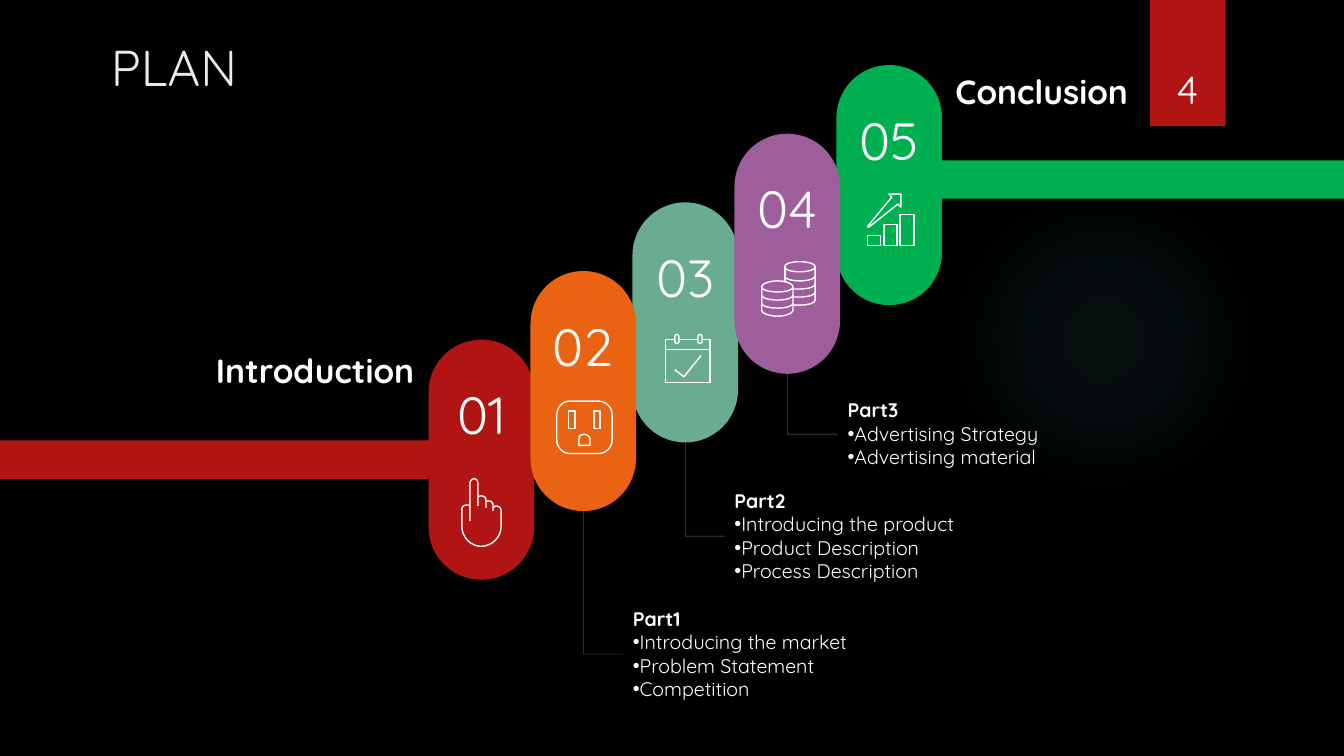
from lxml.etree import SubElement
from pptx import Presentation
from pptx.dml.color import RGBColor
from pptx.enum.shapes import MSO_CONNECTOR, MSO_SHAPE
from pptx.enum.text import MSO_ANCHOR, PP_ALIGN
from pptx.oxml import parse_xml
from pptx.oxml.ns import nsdecls, qn
from pptx.util import Cm, Pt

FONT = "Quicksand"
WHITE, RED, GREEN, ICON_LINE = "FFFFFF", "B01513", "00B050", "FEFEFE"
SLIDE_WIDTH, SLIDE_HEIGHT = 33.87, 19.05
PILL_WIDTH, PILL_HEIGHT = 2.66, 6.05
PILL_COLORS = [RED, "EA6312", "6AAC90", "9E5E9B", GREEN]
ICON_UNIT = Cm(0.0254)

PARTS = [
    (1, "Part1", (15.7, 15.16, 6.65, 2.64),
     ["Introducing the market", "Problem Statement", "Competition"]),
    (2, "Part2", (18.26, 12.19, 7.82, 2.64),
     ["Introducing the product", "Product Description", "Process Description"]),
    (3, "Part3", (21.11, 9.91, 11.1, 2.06),
     ["Advertising Strategy", "Advertising material"]),
]


def rectangle_path(left, top, right, bottom):
    return f"M {left} {bottom} L {right} {bottom} L {right} {top} L {left} {top} Z"


def ring_path(x):
    return (f"M {x} 133 C {x} 132 {x + 1} 131 {x + 2} 131 C {x + 3} 131 {x + 4} 132 {x + 4} 133 "
            f"L {x + 4} 138 C {x + 4} 139 {x + 3} 140 {x + 2} 140 C {x + 1} 140 {x} 139 {x} 138 Z")


def front_rim(y):
    return f"M 58 {y} C 58 {y + 3} 51 {y + 5} 43 {y + 5} C 34 {y + 5} 27 {y + 3} 27 {y}"


def back_rim(y):
    return f"M 80 {y} C 80 {y + 3} 73 {y + 5} 65 {y + 5} C 56 {y + 5} 50 {y + 3} 50 {y}"


def hidden_rim(y):
    return f"M 80 {y} C 80 {y + 3} 73 {y + 5} 65 {y + 5} C 62 {y + 5} 60 {y + 5} 58 {y + 5}"


HAND = [
    "M 41 180 L 41 143 C 41 140 43 138 45 138 C 48 138 49 140 49 143 L 49 165",
    "M 49 156 C 50 155 51 155 53 155 C 55 155 57 157 57 159 L 57 167",
    "M 57 161 C 58 160 59 160 60 160 C 62 160 64 162 64 164 L 64 170",
    "M 64 167 C 65 166 66 165 67 165 C 70 165 72 167 72 170 L 72 185 "
    "C 72 196 63 205 52 205 C 42 205 33 196 33 185 L 33 168 "
    "C 33 166 35 164 38 164 C 39 164 40 164 41 165",
]
SOCKET = [
    rectangle_path(63, 139, 69, 156),
    rectangle_path(38, 139, 44, 156),
    "M 59 173 L 48 173 L 48 167 C 48 164 50 162 53 162 C 56 162 59 164 59 167 Z",
    "M 67 129 L 39 129 C 32 129 26 135 26 143 L 26 167 C 26 175 32 181 39 181 "
    "L 67 181 C 75 181 81 175 81 167 L 81 143 C 81 135 75 129 67 129 Z",
]
CALENDAR = [
    "M 46 136 L 65 136",
    "M 69 136 L 77 136 L 77 179 L 33 179 L 33 136 L 42 136",
    "M 33 146 L 77 146",
    ring_path(42),
    ring_path(65),
    "M 42 166 L 51 173 L 68 152",
]
COINS = [
    front_rim(152) + " C 27 149 34 146 43 146 C 51 146 58 149 58 152 Z",
    "M 58 152 L 58 175 C 58 178 51 181 43 181 C 34 181 27 178 27 175 L 27 152",
    front_rim(168),
    front_rim(160),
    back_rim(132) + " C 50 129 56 127 65 127 C 73 127 80 129 80 132 Z",
    "M 50 147 L 50 132",
    "M 80 132 L 80 165 C 80 168 73 170 65 170 C 62 170 60 170 58 170",
    hidden_rim(157),
    hidden_rim(149),
    back_rim(141),
]
GROWTH = [
    rectangle_path(47, 158, 60, 179),
    rectangle_path(31, 169, 44, 179),
    "M 64 128 L 52 128 L 55 131 L 31 160 C 31 160 31 161 32 161 L 61 138 L 64 141 Z",
    rectangle_path(63, 148, 77, 179),
]
ICONS = [HAND, SOCKET, CALENDAR, COINS, GROWTH]


def color(hex_string):
    return RGBColor.from_string(hex_string)


def lengths(box):
    return [Cm(value) for value in box]


def add_run(paragraph, text, size, hex_string=WHITE, bold=False):
    run = paragraph.add_run()
    run.text = text
    run.font.name, run.font.size, run.font.bold = FONT, Pt(size), bold
    run.font.color.rgb = color(hex_string)


def add_block(slide, preset, box, hex_string):
    shape = slide.shapes.add_shape(preset, *lengths(box))
    shape.shadow.inherit = False
    shape.fill.solid()
    shape.fill.fore_color.rgb = color(hex_string)
    shape.line.fill.background()
    return shape


def add_text_box(slide, box):
    text_box = slide.shapes.add_textbox(*lengths(box))
    text_box.text_frame.word_wrap = True
    return text_box


def style_line(shape, hex_string, width):
    shape.line.color.rgb = color(hex_string)
    shape.line.width = Pt(width)


def remove_connector_shadow(connector):
    SubElement(connector._element.spPr, qn("a:effectLst"))


def add_glow(slide, box):
    glow = add_block(slide, MSO_SHAPE.OVAL, box, "50B9C1")
    stops = "".join(
        f'<a:gs pos="{position}000"><a:srgbClr val="50B9C1"><a:alpha val="{alpha}000"/></a:srgbClr></a:gs>'
        for position, alpha in [(0, 7), (36, 6), (69, 0)])
    gradient = parse_xml(
        f'<a:gradFill {nsdecls("a")}><a:gsLst>{stops}</a:gsLst><a:path path="circle">'
        '<a:fillToRect l="50000" t="50000" r="50000" b="50000"/></a:path></a:gradFill>')
    properties = glow._element.spPr
    properties.replace(properties.find(qn("a:solidFill")), gradient)


def path_points(path):
    """Turn an M/L/C/Z path into points, sampling each curve, and tell if it closes."""
    points, tokens = [], path.split()
    while tokens and tokens[0] != "Z":
        command = tokens.pop(0)
        count = 6 if command == "C" else 2
        numbers = [float(token) for token in tokens[:count]]
        del tokens[:count]
        pairs = list(zip(numbers[::2], numbers[1::2]))
        if command == "C":
            controls = [points[-1], *pairs]
            for step in range(1, 9):
                t = step / 8
                weights = ((1 - t) ** 3, 3 * t * (1 - t) ** 2, 3 * t * t * (1 - t), t ** 3)
                points.append(tuple(sum(weight * control[axis] for weight, control in zip(weights, controls))
                                    for axis in (0, 1)))
        else:
            points += pairs
    return [(round(x * ICON_UNIT), round(y * ICON_UNIT)) for x, y in points], bool(tokens)


def add_icon(slide, paths, left, top):
    icon = slide.shapes.add_group_shape()
    for path in paths:
        points, closed = path_points(path)
        if len(points) == 2:
            (x1, y1), (x2, y2) = points
            stroke = icon.shapes.add_connector(
                MSO_CONNECTOR.STRAIGHT, left + x1, top + y1, left + x2, top + y2)
            style_line(stroke, ICON_LINE, 1)
            remove_connector_shadow(stroke)
        else:
            builder = icon.shapes.build_freeform(*points[0])
            builder.add_line_segments(points[1:], close=closed)
            stroke = builder.convert_to_shape(left, top)
            stroke.shadow.inherit = False
            stroke.fill.background()
            style_line(stroke, ICON_LINE, 1)


def add_pill(slide, index, box):
    pill = add_block(slide, MSO_SHAPE.ROUNDED_RECTANGLE, box, PILL_COLORS[index])
    pill.adjustments[0] = 0.5
    frame = pill.text_frame
    frame.margin_left = frame.margin_right = 0
    frame.margin_top = frame.margin_bottom = Cm(0.69)
    frame.vertical_anchor = MSO_ANCHOR.TOP
    frame.paragraphs[0].alignment = PP_ALIGN.CENTER
    add_run(frame.paragraphs[0], f"{index + 1:02}", 37.3)
    return pill


def add_heading(slide, text, box, alignment):
    paragraph = add_text_box(slide, box).text_frame.paragraphs[0]
    paragraph.alignment = alignment
    paragraph.line_spacing = 0.87
    add_run(paragraph, text, 24, bold=True)


def add_part(slide, heading, items, box):
    part = add_text_box(slide, box)
    add_run(part.text_frame.paragraphs[0], heading, 14, bold=True)
    for item in items:
        paragraph = part.text_frame.add_paragraph()
        properties = paragraph._p.get_or_add_pPr()
        properties.set("marL", "0")
        properties.set("indent", "0")
        SubElement(properties, qn("a:buFont"), typeface="Arial")
        SubElement(properties, qn("a:buChar"), char="•")
        add_run(paragraph, item, 14)
    return part


def add_elbow(slide, pill, part):
    """Run down from the pill's bottom, then right to the middle of the part's left side."""
    x, y = pill.left + pill.width // 2, pill.top + pill.height
    across, down = part.left - x, part.top + part.height // 2 - y
    elbow = slide.shapes.add_connector(MSO_CONNECTOR.ELBOW, 0, 0, down, across)
    elbow.left, elbow.top = x + (across - down) // 2, y + (down - across) // 2
    properties = elbow._element.spPr
    properties.find(qn("a:prstGeom")).set("prst", "bentConnector2")
    properties.find(qn("a:xfrm")).set("rot", "16200000")
    properties.find(qn("a:xfrm")).set("flipH", "1")
    style_line(elbow, WHITE, 0.25)
    SubElement(next(properties.iter(qn("a:srgbClr"))), qn("a:alpha"), val="50000")
    remove_connector_shadow(elbow)


def add_title(slide, text, box):
    title = slide.shapes.title
    title.left, title.top, title.width, title.height = lengths(box)
    title.text_frame.vertical_anchor = MSO_ANCHOR.TOP
    title.text_frame.paragraphs[0].alignment = PP_ALIGN.LEFT
    add_run(title.text_frame.paragraphs[0], text, 36, "EBEBEB")


def add_page_tab(slide, number, box):
    left, top, width, height = box
    add_block(slide, MSO_SHAPE.RECTANGLE, box, RED)
    frame = add_text_box(slide, (left - 0.22, top + 0.81, width + 0.43, height - 1.04)).text_frame
    frame.vertical_anchor = MSO_ANCHOR.BOTTOM
    frame.paragraphs[0].alignment = PP_ALIGN.CENTER
    add_run(frame.paragraphs[0], number, 28)


def build_plan(slide):
    slide.background.fill.solid()
    slide.background.fill.fore_color.rgb = color("000000")
    add_glow(slide, (23.9, 4.65, 7.82, 7.82))
    add_title(slide, "PLAN", (2.54, 0.79, 28.78, 2.26))
    add_block(slide, MSO_SHAPE.RECTANGLE, (0, 11.1, 10.82, 0.97), RED)
    add_block(slide, MSO_SHAPE.RECTANGLE, (23.65, 4.04, SLIDE_WIDTH - 23.65, 0.97), GREEN)
    add_page_tab(slide, "4", (28.98, 0, 1.91, 3.18))
    add_heading(slide, "Conclusion", (23.83, 1.8, SLIDE_WIDTH - 23.83, 1.14), PP_ALIGN.LEFT)
    add_heading(slide, "Introduction", (0, 8.84, 10.69, 1.14), PP_ALIGN.RIGHT)
    pills = {}
    for index in (0, 2, 4, 3, 1):
        box = (10.8 + 2.57 * index, 8.56 - 1.73 * index, PILL_WIDTH, PILL_HEIGHT)
        pills[index] = add_pill(slide, index, box)
    for index, heading, box, items in PARTS:
        add_elbow(slide, pills[index], add_part(slide, heading, items, box))
    for index, paths in enumerate(ICONS):
        add_icon(slide, paths, pills[index].left, pills[index].top)


def main():
    presentation = Presentation()
    presentation.slide_width, presentation.slide_height = Cm(SLIDE_WIDTH), Cm(SLIDE_HEIGHT)
    build_plan(presentation.slides.add_slide(presentation.slide_layouts[5]))
    presentation.save("out.pptx")


if __name__ == "__main__":
    main()
